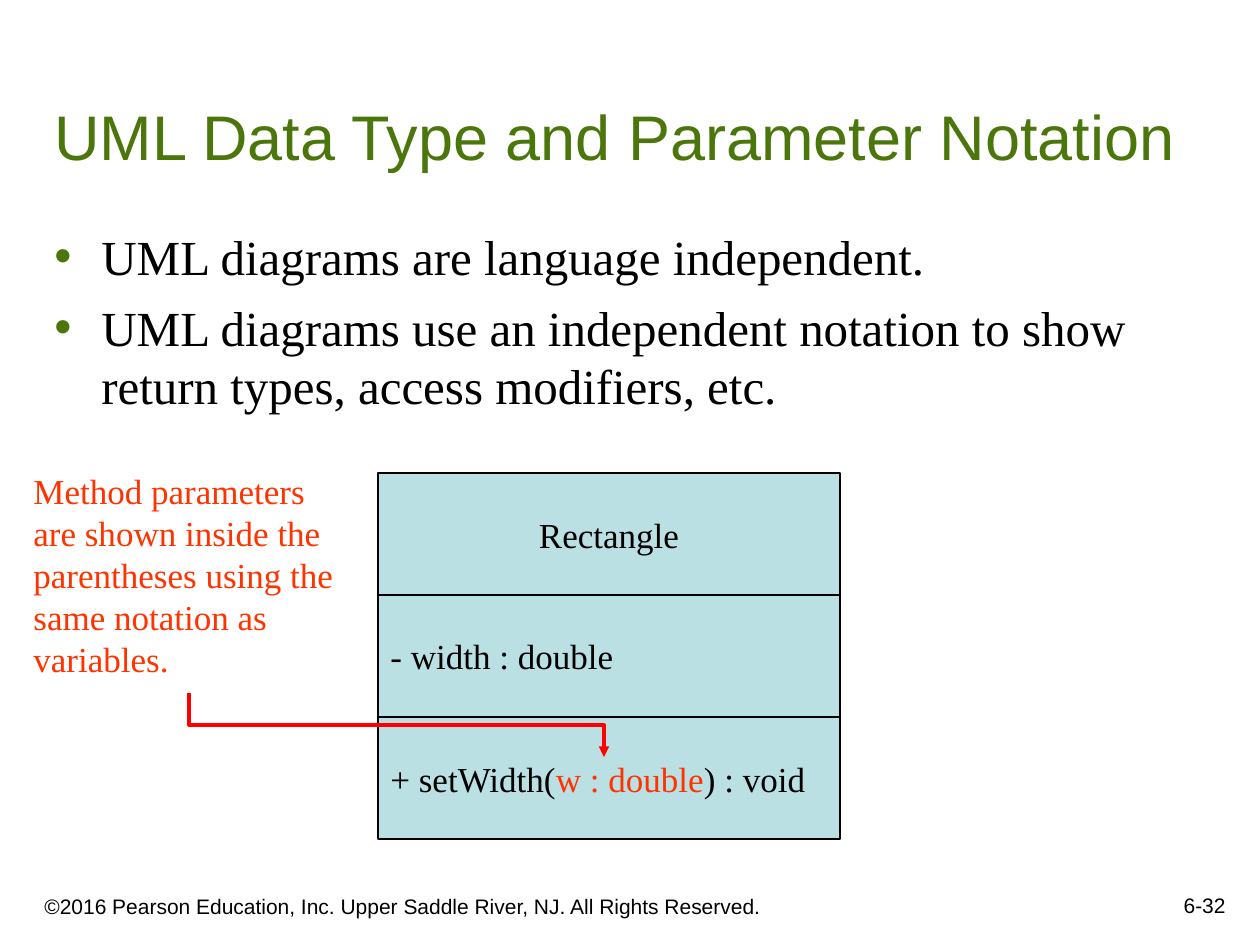
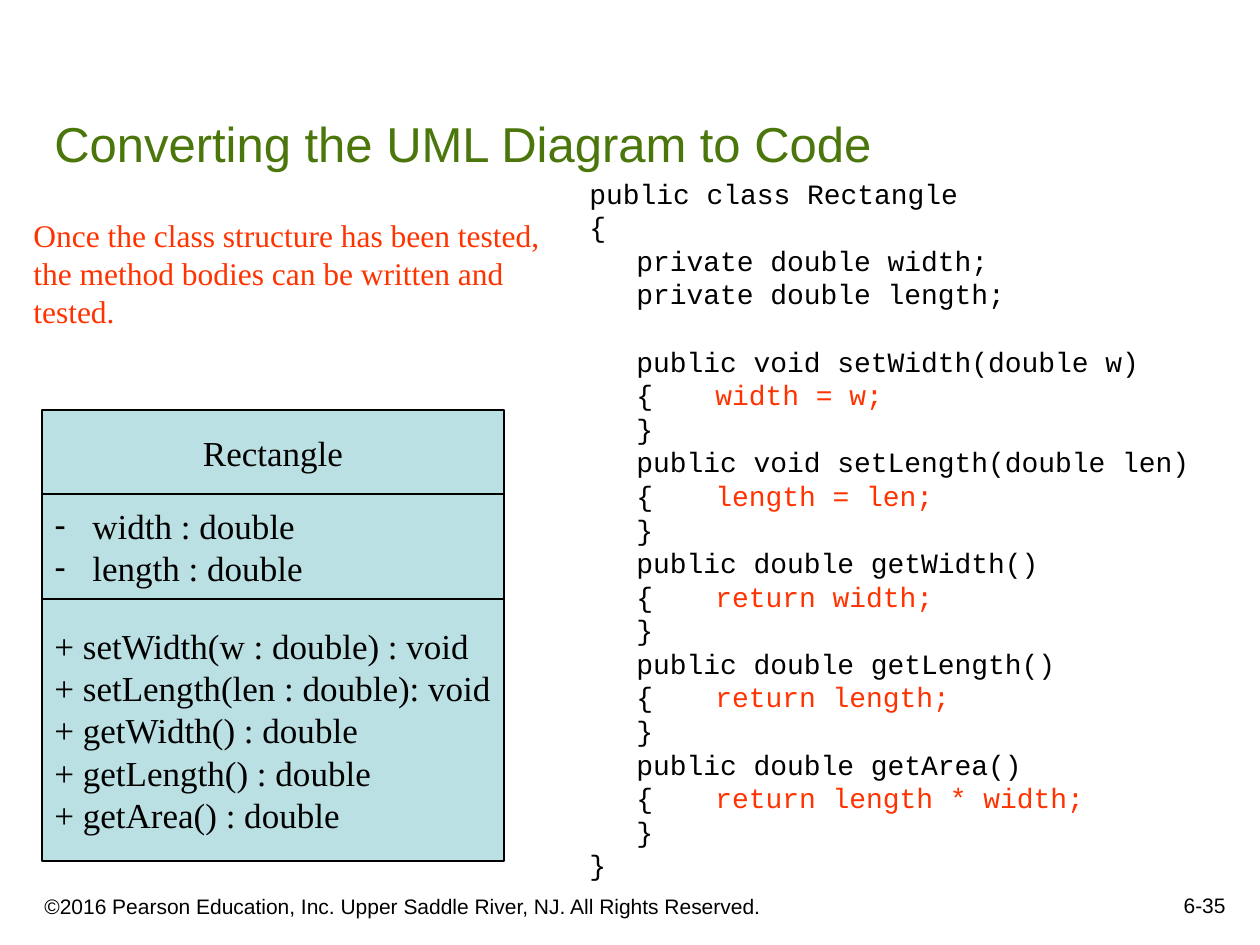
from dataclasses import dataclass

from lxml.etree import SubElement
from pptx import Presentation
from pptx.dml.color import RGBColor
from pptx.enum.shapes import MSO_CONNECTOR, MSO_SHAPE
from pptx.enum.text import MSO_ANCHOR, PP_ALIGN
from pptx.oxml.ns import qn
from pptx.util import Emu, Pt

SCALE = 914400 / 126
INCH = 126
BLACK = RGBColor(0x00, 0x00, 0x00)
WHITE = RGBColor(0xFF, 0xFF, 0xFF)
GREEN = RGBColor(0x4B, 0x76, 0x0B)
CORAL = RGBColor(0xFF, 0x33, 0x00)
RED = RGBColor(0xFF, 0x00, 0x00)
AQUA = RGBColor(0xBB, 0xE0, 0xE3)
SANS, SERIF, MONO = "Arial", "Times New Roman", "Courier New"

FOOTER = "©2016 Pearson Education, Inc. Upper Saddle River, NJ. All Rights Reserved."
NOTE = "Method parameters are shown inside the parentheses using the same notation as variables."
HINT = "Once the class structure has been tested, the method bodies can be written and tested."
POINTS = [
    "UML diagrams are language independent.",
    "UML diagrams use an independent notation to show return types, access modifiers, etc.",
]
METHODS = [
    "+ setWidth(w : double) : void",
    "+ setLength(len : double): void",
    "+ getWidth() : double",
    "+ getLength() : double",
    "+ getArea() : double",
]
FIELDS = ["private double width;", "private double length;"]
BODIES = [
    ("void setWidth(double w)", "width = w;"),
    ("void setLength(double len)", "length = len;"),
    ("double getWidth()", "return width;"),
    ("double getLength()", "return length;"),
    ("double getArea()", "return length * width;"),
]


@dataclass
class Box:
    left: int
    top: int
    width: int
    height: int


@dataclass
class Cell:
    lines: list[str]
    height: int
    align: PP_ALIGN = PP_ALIGN.LEFT
    mark: str = ""


def px(value: float) -> Emu:
    return Emu(round(value * SCALE))


def place(box: Box) -> list[Emu]:
    return [px(n) for n in (box.left, box.top, box.width, box.height)]


def add_mark(para, mark: str, color: RGBColor, hang: int) -> None:
    props = para._p.get_or_add_pPr()
    props.set("marL", str(px(hang)))
    props.set("indent", str(-px(hang)))
    tint = SubElement(props, qn("a:buClr"))
    SubElement(tint, qn("a:srgbClr"), val=str(color))
    SubElement(props, qn("a:buFont"), typeface=SANS)
    SubElement(props, qn("a:buChar"), char=mark)


def add_tabs(para, stops: tuple[int, ...]) -> None:
    tabs = SubElement(para._p.get_or_add_pPr(), qn("a:tabLst"))
    for stop in stops:
        SubElement(tabs, qn("a:tab"), pos=str(px(stop)), algn="l")


def write(shape, lines: list[str], *, size: int, font: str = SERIF,
          color: RGBColor = BLACK, accent: RGBColor = CORAL,
          align: PP_ALIGN = PP_ALIGN.LEFT, anchor: MSO_ANCHOR = MSO_ANCHOR.TOP,
          wrap: bool = True, mark: str = "", tint: RGBColor = BLACK,
          hang: int = 38, stops: tuple[int, ...] = (), gaps: dict[int, float] | None = None) -> None:
    frame = shape.text_frame
    frame.word_wrap = wrap
    frame.vertical_anchor = anchor
    for index, line in enumerate(lines):
        para = frame.add_paragraph() if index else frame.paragraphs[0]
        if mark:
            add_mark(para, mark, tint, hang)
        if stops:
            add_tabs(para, stops)
        para.alignment = align
        para.line_spacing = Pt(1.2 * size)
        if gaps and index in gaps:
            para.space_before = Pt(gaps[index])
        for turn, part in enumerate(line.split("|")):
            if part:
                run = para.add_run()
                run.text = part
                run.font.name = font
                run.font.size = Pt(size)
                run.font.color.rgb = accent if turn % 2 else color


def add_text(slide, box: Box, lines: list[str], **style) -> None:
    write(slide.shapes.add_textbox(*place(box)), lines, **style)


def add_class(slide, left: int, top: int, cells: list[Cell]) -> None:
    for cell in cells:
        shape = slide.shapes.add_shape(
            MSO_SHAPE.RECTANGLE, *place(Box(left, top, 462, cell.height)))
        shape.shadow.inherit = False
        shape.fill.solid()
        shape.fill.fore_color.rgb = AQUA
        shape.line.color.rgb = BLACK
        shape.line.width = Pt(0.75)
        write(shape, cell.lines, size=20, align=cell.align, mark=cell.mark,
              anchor=MSO_ANCHOR.MIDDLE, wrap=False)
        top += cell.height


def add_elbow(slide, start: tuple[int, int], end: tuple[int, int]) -> None:
    wide, tall = end[0] - start[0], end[1] - start[1]
    mid_x, mid_y = (start[0] + end[0]) / 2, (start[1] + end[1]) / 2
    line = slide.shapes.add_connector(
        MSO_CONNECTOR.ELBOW, px(mid_x + tall / 2), px(mid_y - wide / 2),
        px(mid_x - tall / 2), px(mid_y + wide / 2))
    line.line.color.rgb = RED
    line.line.width = Pt(2)
    props = line._element.spPr
    props.find(qn("a:xfrm")).set("rot", str(270 * 60000))
    SubElement(props.find(qn("a:ln")), qn("a:tailEnd"), type="triangle")
    SubElement(props, qn("a:effectLst"))


def add_page(deck, title: str, size: int, number: str):
    slide = deck.slides.add_slide(deck.slide_layouts[6])
    slide.background.fill.solid()
    slide.background.fill.fore_color.rgb = WHITE
    low = MSO_ANCHOR.BOTTOM
    add_text(slide, Box(32, 872, 766, 53), [FOOTER], size=12, font=SANS, anchor=low)
    add_text(slide, Box(976, 861, 262, 63), [number], size=12, font=SANS,
             anchor=low, align=PP_ALIGN.RIGHT)
    add_text(slide, Box(42, 42, 1187, 137), [title], size=size, font=SANS,
             color=GREEN, anchor=low)
    return slide


def draw_types(deck) -> None:
    slide = add_page(deck, "UML Data Type and Parameter Notation", 36, "6-32")
    add_text(slide, Box(42, 220, 1143, 244), POINTS, size=28, mark="•",
             tint=GREEN, hang=47, gaps={1: 7})
    add_class(slide, 378, 473, [
        Cell(["Rectangle"], 122, PP_ALIGN.CENTER),
        Cell(["- width : double"], 122),
        Cell(["+ setWidth(|w : double|) : void"], 122),
    ])
    add_text(slide, Box(21, 463, 347, 223), [NOTE], size=20, color=CORAL)
    add_elbow(slide, (189, 693), (604, 757))


def draw_code(deck) -> None:
    slide = add_page(deck, "Converting the UML Diagram to Code", 28, "6-35")
    code = ["public class Rectangle", "{"]
    code += [f"\t{field}" for field in FIELDS]
    first = len(code)
    for head, body in BODIES:
        code += [f"\tpublic {head}", f"\t{{\t|{body}", "\t}"]
    code.append("}")
    stops = (47, *(INCH * n for n in range(1, 7)))
    add_text(slide, Box(577, 170, 662, 752), code, size=16, font=MONO,
             stops=stops, gaps={first: 19.2})
    add_class(slide, 42, 410, [
        Cell(["Rectangle"], 84, PP_ALIGN.CENTER),
        Cell(["width : double", "length : double"], 105, mark="-"),
        Cell(METHODS, 262),
    ])
    add_text(slide, Box(21, 210, 549, 126), [HINT], size=18, color=CORAL)


def main() -> None:
    deck = Presentation()
    deck.slide_width, deck.slide_height = px(1260), px(945)
    draw_types(deck)
    draw_code(deck)
    deck.save("out.pptx")


if __name__ == "__main__":
    main()
